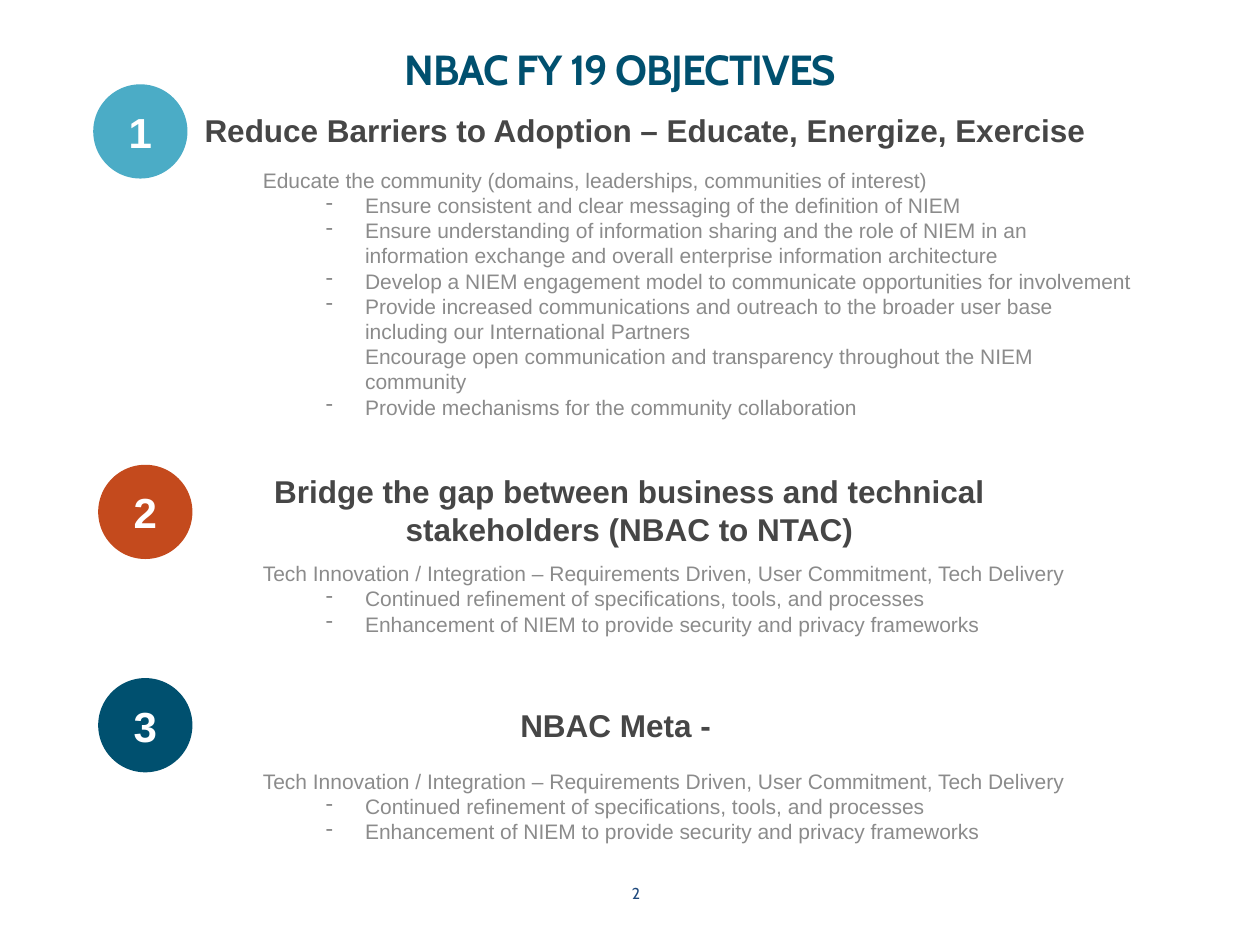
from dataclasses import dataclass

import lxml.etree
import pptx
import pptx.dml.color
import pptx.enum.shapes
import pptx.enum.text
import pptx.oxml.ns
import pptx.util

Cm = pptx.util.Cm
Pt = pptx.util.Pt
CENTER = pptx.enum.text.PP_ALIGN.CENTER

COLORS = {
    "navy": "00506F",
    "sky": "4BACC6",
    "rust": "C44A1D",
    "heading": "464646",
    "body": "8B8B8B",
    "page": "1F497D",
    "white": "FFFFFF",
}
CIRCLE_SIZE = 1.9
DETAIL_LEFT = 5.05
BULLET_MARGIN, BULLET_HANG = 2.06, 0.79


@dataclass
class Area:
    left: float
    top: float
    width: float
    height: float

    def lengths(self) -> list:
        return [Cm(v) for v in (self.left, self.top, self.width, self.height)]


@dataclass
class Objective:
    color: str
    circle: tuple[float, float]
    heading: str
    heading_area: Area
    summary: str
    bullets: list[str]
    detail_area: Area


INNOVATION = (
    "Tech Innovation / Integration – Requirements Driven, User Commitment, Tech Delivery"
)
INNOVATION_BULLETS = [
    "Continued refinement of specifications, tools, and processes",
    "Enhancement of NIEM to provide security and privacy frameworks",
]

OBJECTIVES = [
    Objective(
        "sky", (1.88, 1.7),
        "Reduce Barriers to Adoption – Educate, Energize, Exercise",
        Area(2.82, 2.11, 20.37, 1.02),
        "Educate the community (domains, leaderships, communities of interest)",
        [
            "Ensure consistent and clear messaging of the definition of NIEM",
            "Ensure understanding of information sharing and the role of NIEM in an "
            "information exchange and overall enterprise information architecture",
            "Develop a NIEM engagement model to communicate opportunities for involvement",
            "Provide increased communications and outreach to the broader user base "
            "including our International Partners\n"
            "Encourage open communication and transparency throughout the NIEM community",
            "Provide mechanisms for the community collaboration",
        ],
        Area(DETAIL_LEFT, 3.25, 18.03, 6.45),
    ),
    Objective(
        "rust", (1.98, 9.37),
        "Bridge the gap between business and technical stakeholders (NBAC to NTAC)",
        Area(3.89, 9.4, 17.6, 2.57),
        INNOVATION, INNOVATION_BULLETS,
        Area(DETAIL_LEFT, 11.18, 18.8, 1.8),
    ),
    Objective(
        "navy", (1.98, 13.67),
        "NBAC Meta - ",
        Area(4.17, 14.1, 16.66, 1.02),
        INNOVATION, INNOVATION_BULLETS,
        Area(DETAIL_LEFT, 15.37, 18.8, 1.8),
    ),
]


def rgb(name: str) -> pptx.dml.color.RGBColor:
    return pptx.dml.color.RGBColor.from_string(COLORS[name])


def set_font(para, size: float, color: str, bold: bool = False, name: str = "Arial") -> None:
    para.font.size = Pt(size)
    para.font.name = name
    para.font.bold = bold
    para.font.color.rgb = rgb(color)


def add_dash(para) -> None:
    """Give a paragraph a hanging dash bullet."""
    para.level = 1
    properties = para._p.get_or_add_pPr()
    properties.set("marL", str(Cm(BULLET_MARGIN)))
    properties.set("indent", str(-Cm(BULLET_HANG)))
    bullet = lxml.etree.SubElement(properties, pptx.oxml.ns.qn("a:buChar"))
    bullet.set("char", "-")


def add_text(slide, area: Area, text: str):
    """Add a wrapping text box and return its frame."""
    frame = slide.shapes.add_textbox(*area.lengths()).text_frame
    frame.word_wrap = True
    frame.paragraphs[0].text = text
    return frame


def add_title(slide) -> None:
    frame = add_text(slide, Area(1.27, 1.07, 22.48, 2.26), "NBAC FY 19 OBJECTIVES")
    frame.margin_left = frame.margin_right = frame.margin_top = frame.margin_bottom = 0
    para = frame.paragraphs[0]
    para.alignment = CENTER
    para.line_spacing = 0.8
    set_font(para, 24, "navy", True, "Cabin")
    para.runs[0]._r.get_or_add_rPr().set("spc", "-60")


def add_page_number(slide) -> None:
    para = add_text(slide, Area(9.86, 17.7, 5.92, 1.02), "2").paragraphs[0]
    para.alignment = CENTER
    set_font(para, 9, "page", name="Cabin")


def add_circle(slide, number: int, objective: Objective) -> None:
    area = Area(*objective.circle, CIRCLE_SIZE, CIRCLE_SIZE)
    circle = slide.shapes.add_shape(
        pptx.enum.shapes.MSO_SHAPE.OVAL, *area.lengths()
    )
    circle.shadow.inherit = False
    circle.fill.solid()
    circle.fill.fore_color.rgb = rgb(objective.color)
    circle.line.fill.background()
    circle.text_frame.vertical_anchor = pptx.enum.text.MSO_ANCHOR.MIDDLE
    para = circle.text_frame.paragraphs[0]
    para.text = str(number)
    para.alignment = CENTER
    set_font(para, 24, "white", True)


def add_objective(slide, number: int, objective: Objective) -> None:
    add_circle(slide, number, objective)

    # Heading
    para = add_text(slide, objective.heading_area, objective.heading).paragraphs[0]
    para.alignment = CENTER
    set_font(para, 18, "heading", True)

    # Summary line and its dashes
    frame = add_text(slide, objective.detail_area, objective.summary)
    set_font(frame.paragraphs[0], 12, "body")
    for bullet in objective.bullets:
        para = frame.add_paragraph()
        para.text = bullet
        add_dash(para)
        set_font(para, 12, "body")


def main() -> None:
    deck = pptx.Presentation()
    deck.slide_width, deck.slide_height = Cm(25.4), Cm(19.05)
    slide = deck.slides.add_slide(deck.slide_layouts[6])
    add_title(slide)
    for number, objective in enumerate(OBJECTIVES, start=1):
        add_objective(slide, number, objective)
    add_page_number(slide)
    deck.save("out.pptx")


if __name__ == "__main__":
    main()
